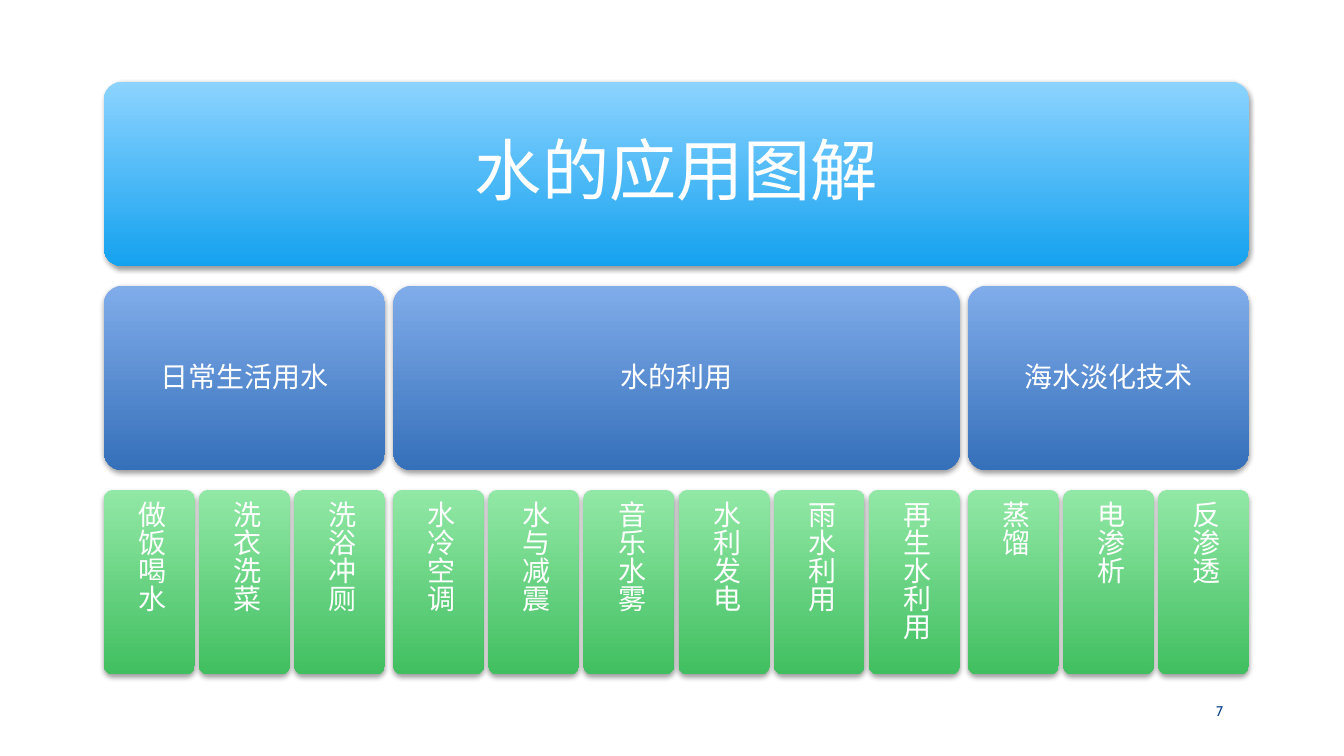
from dataclasses import dataclass

from lxml.etree import SubElement
from pptx import Presentation
from pptx.dml.color import RGBColor
from pptx.enum.shapes import MSO_SHAPE as Preset
from pptx.enum.text import MSO_ANCHOR as Anchor, PP_ALIGN as Align
from pptx.oxml import parse_xml
from pptx.oxml.ns import nsdecls, qn
from pptx.util import Inches, Pt

SLIDE_WIDTH, SLIDE_HEIGHT = 13.33, 7.5
LEFT, TOP, WIDTH, HEIGHT = 1.03, 0.81, 11.36, 5.88
ROW_HEIGHT, GAP = 1.83, 0.04
ROW_PITCH = (HEIGHT - ROW_HEIGHT) / 2


@dataclass(frozen=True)
class Level:
    """Look shared by all blocks in one row of the hierarchy."""
    row: int
    top_color: str
    bottom_color: str
    size: int = 20
    inset: float = 0.08
    vertical: bool = False


@dataclass(frozen=True)
class Topic:
    title: str
    uses: tuple[str, ...]


ROOT = Level(0, "8CD3FF", "14A2EF", size=48, inset=0.2)
BRANCH = Level(1, "80ACEA", "3570BA")
LEAF = Level(2, "92E8A6", "41BF60", vertical=True)

TOPICS = (
    Topic("日常生活用水", ("做饭喝水", "洗衣洗菜", "洗浴冲厕")),
    Topic("水的利用", ("水冷空调", "水与减震", "音乐水雾", "水利发电", "雨水利用", "再生水利用")),
    Topic("海水淡化技术", ("蒸馏", "电渗析", "反渗透")),
)
LEAF_COUNT = sum(len(topic.uses) for topic in TOPICS)
# One gap between leaves, and a second one between topics
LEAF_WIDTH = (WIDTH - GAP * (LEAF_COUNT + len(TOPICS) - 2)) / LEAF_COUNT
LEAF_PITCH = LEAF_WIDTH + GAP


def rgb(color: str) -> RGBColor:
    return RGBColor.from_string(color)


def write(holder, text: str, size: int, color: str, inset: float):
    """Put one centred line in a shape and return its paragraph."""
    frame = holder.text_frame
    settings = {"word_wrap": True, "vertical_anchor": Anchor.MIDDLE}
    settings |= {f"margin_{side}": Inches(inset) for side in ("left", "top", "right", "bottom")}
    for key, value in settings.items():
        setattr(frame, key, value)
    paragraph = frame.paragraphs[0]
    paragraph.alignment = Align.CENTER
    run = paragraph.add_run()
    run.text = text
    for key, value in {"name": "Cabin", "size": Pt(size)}.items():
        setattr(run.font, key, value)
    run.font.color.rgb = rgb(color)
    return paragraph


def add_shadow(block) -> None:
    block._element.spPr.append(parse_xml(
        f'<a:effectLst {nsdecls("a")}>'
        f'<a:outerShdw blurRad="{Pt(4)}" dist="{Pt(2)}" dir="5400000" rotWithShape="0">'
        '<a:srgbClr val="000000"><a:alpha val="38000"/></a:srgbClr>'
        '</a:outerShdw></a:effectLst>'))


def add_block(slide, level: Level, text: str, left: float, width: float) -> None:
    top = TOP + level.row * ROW_PITCH
    block = slide.shapes.add_shape(
        Preset.ROUNDED_RECTANGLE, *map(Inches, (left, top, width, ROW_HEIGHT)))
    block.adjustments[0] = 0.1
    block.fill.gradient()
    block.fill.gradient_angle = 270
    for stop, color in zip(block.fill.gradient_stops, (level.top_color, level.bottom_color)):
        stop.color.rgb = rgb(color)
    block.line.fill.background()
    add_shadow(block)
    paragraph = write(block, text, level.size, "FFFFFF", level.inset)
    paragraph.line_spacing = 0.9
    space_after = SubElement(paragraph._p.get_or_add_pPr(), qn("a:spcAft"))
    SubElement(space_after, qn("a:spcPct"), val="35000")
    if level.vertical:
        block.text_frame._txBody.bodyPr.set("vert", "eaVert")


def add_topics(slide) -> None:
    left = LEFT
    for topic in TOPICS:
        width = len(topic.uses) * LEAF_PITCH - GAP
        add_block(slide, BRANCH, topic.title, left, width)
        for column, use in enumerate(topic.uses):
            add_block(slide, LEAF, use, left + column * LEAF_PITCH, LEAF_WIDTH)
        left += width + 2 * GAP


def main() -> None:
    deck = Presentation()
    deck.slide_width, deck.slide_height = Inches(SLIDE_WIDTH), Inches(SLIDE_HEIGHT)
    slide = deck.slides.add_slide(deck.slide_layouts[6])
    add_block(slide, ROOT, "水的应用图解", LEFT, WIDTH)
    add_topics(slide)
    page_number = slide.shapes.add_textbox(*map(Inches, (11.25, 6.85, 1.69, 0.4)))
    write(page_number, "7", 10, "073E87", 0.05)
    deck.save("out.pptx")


if __name__ == "__main__":
    main()
